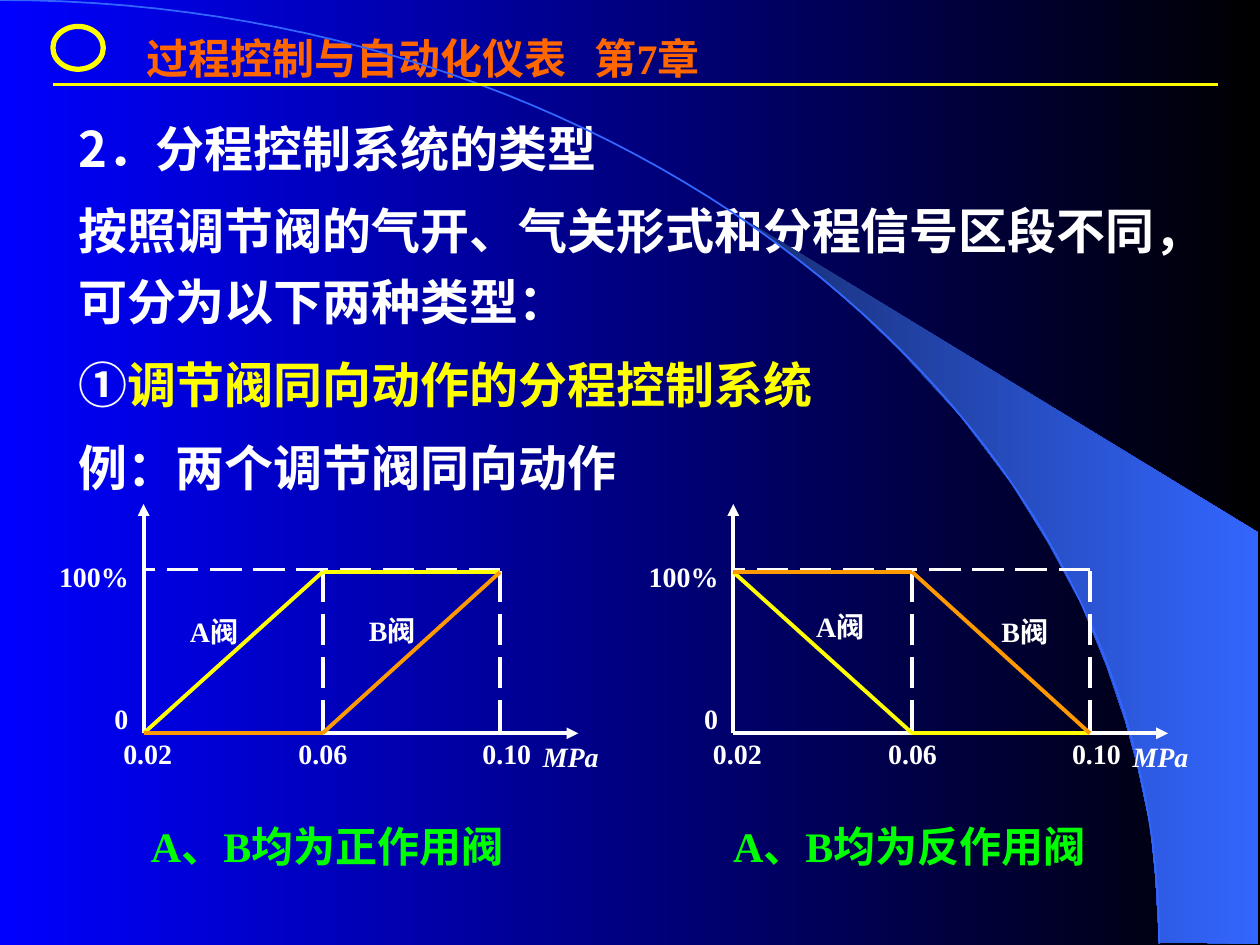
"""Builds the slide on split-range control valves acting in the same direction."""
from lxml.etree import SubElement
from pptx import Presentation
from pptx.dml.color import RGBColor
from pptx.enum.dml import MSO_LINE
from pptx.enum.shapes import MSO_CONNECTOR, MSO_SHAPE
from pptx.enum.text import MSO_ANCHOR as ANCHOR, MSO_AUTO_SIZE as AUTO, PP_ALIGN as ALIGN
from pptx.oxml.ns import qn
from pptx.util import Inches, Pt

COLORS = {"white": "FFFFFF", "yellow": "FFFF00", "orange": "FF9900", "header": "FF6600",
          "green": "00FF00", "blue": "3366FF", "navy": "182F76",
          "bg_left": "0000FF", "bg_right": "000000"}
LATIN, CJK = "Times New Roman", "Noto Sans CJK SC"
HIGH, LOW = 4.54, 5.82
TICKS = (0, 1.42, 2.83)


def rgb(name):
    return RGBColor.from_string(COLORS[name])


class SlideBuilder:
    """Holds the style and the current slide."""

    def __init__(self, prs):
        self.slide = prs.slides.add_slide(prs.slide_layouts[1])
        self.shapes = self.slide.shapes
        self.gradient(self.slide.background.fill, "bg_left", "bg_right")

    def gradient(self, fill, *names):
        fill.gradient()
        fill.gradient_angle = 0
        for stop, name in zip(fill.gradient_stops, names):
            stop.color.rgb = rgb(name)

    def style(self, r, size, color, font=LATIN, italic=False):
        r.font.size, r.font.bold, r.font.italic = Pt(size), True, italic
        r.font.name, r.font.color.rgb = font, rgb(color)
        SubElement(r.font._element, qn("a:ea"), typeface=CJK)

    def place(self, sp, x, y, w, h):
        sp.left, sp.top, sp.width, sp.height = (Inches(v) for v in (x, y, w, h))

    def header(self, text, tab, box):
        sp = self.shapes.title
        self.place(sp, *box)
        tf = sp.text_frame
        tf.text, tf.auto_size, tf.vertical_anchor = text, AUTO.NONE, ANCHOR.TOP
        p = tf.paragraphs[0]
        p.alignment = ALIGN.LEFT
        tabs = SubElement(p._p.get_or_add_pPr(), qn("a:tabLst"))
        SubElement(tabs, qn("a:tab"), pos=str(Inches(tab)), algn="l")
        for r in p.runs:
            self.style(r, 24, "header")

    def body(self, paragraphs, box):
        sp = self.slide.placeholders[1]
        self.place(sp, *box)
        tf = sp.text_frame
        tf.auto_size, tf.vertical_anchor = AUTO.NONE, ANCHOR.MIDDLE
        for i, runs in enumerate(paragraphs):
            p = tf.add_paragraph() if i else tf.paragraphs[0]
            pPr = p._p.get_or_add_pPr()
            pPr.set("marL", "0")
            pPr.set("indent", "0")
            SubElement(pPr, qn("a:buNone"))
            p.line_spacing, p.space_before = 1.2, Pt(7 if i else 0)
            for text, color in runs:
                r = p.add_run()
                r.text = text
                self.style(r, 28, color, CJK)

    def text(self, text, x, y, w, h, size=16, color="white", italic=False, wrap=True):
        sp = self.shapes.add_textbox(*(Inches(v) for v in (x, y, w, h)))
        tf = sp.text_frame
        tf.text, tf.word_wrap = text, wrap
        self.style(tf.paragraphs[0].runs[0], size, color, italic=italic)

    def line(self, x1, y1, x2, y2, color="white", width=2.25, dashed=False, arrow=False):
        sp = self.shapes.add_connector(MSO_CONNECTOR.STRAIGHT,
                                       *(Inches(v) for v in (x1, y1, x2, y2)))
        sp.line.color.rgb, sp.line.width = rgb(color), Pt(width)
        if dashed:
            sp.line.dash_style = MSO_LINE.LONG_DASH
        if arrow:
            SubElement(sp.line._get_or_add_ln(), qn("a:tailEnd"), type="triangle")
        SubElement(sp._element.spPr, qn("a:effectLst"))

    def ring(self, x, y, w, h, color):
        sp = self.shapes.add_shape(MSO_SHAPE.OVAL, *(Inches(v) for v in (x, y, w, h)))
        sp.shadow.inherit = False
        sp.fill.background()
        sp.line.color.rgb, sp.line.width = rgb(color), Pt(3)

    def freeform(self, points, closed):
        pts = [(Inches(x), Inches(y)) for x, y in points]
        fb = self.shapes.build_freeform(*pts[0])
        fb.add_line_segments(pts[1:], close=closed)
        sp = fb.convert_to_shape()
        sp.shadow.inherit = False
        return sp

    def beam(self, points):
        sp = self.freeform(points, True)
        self.gradient(sp.fill, "navy", "blue")
        sp.line.fill.background()

    def arc(self, w, h, steps=60):
        points = []
        for i in range(steps + 1):
            t = i / steps
            u = 1 - t
            points.append((w * (3 * u * u * t * 0.552 + 3 * u * t * t + t ** 3),
                           h * (3 * u * t * t * 0.448 + t ** 3)))
        sp = self.freeform(points, False)
        sp.fill.background()
        sp.line.color.rgb, sp.line.width = rgb("blue"), Pt(1)

    def valve_chart(self, x, caption, caption_x, levels, labels):
        self.text(caption, caption_x, 6.46, 3.23, 0.5, 24, "green", wrap=False)
        self.line(x, LOW, x, 4, arrow=True)
        self.line(x, LOW, x + 3.45, LOW, arrow=True)
        self.line(x + TICKS[-1], 4.52, x, 4.52, dashed=True)
        for tick in TICKS[1:]:
            self.line(x + tick, 4.53, x + tick, 5.81, dashed=True)
        self.text("MPa", x + 3.07, 5.82, 0.81, 0.36, italic=True)
        self.text("0", x - 0.33, 5.52, 0.44, 0.32)
        self.text("100%", x - 0.77, 4.39, 0.82, 0.25)
        for value, dx in (("0.02", -0.26), ("0.06", 1.13), ("0.10", 2.59)):
            self.text(value, x + dx, 5.8, 0.82, 0.32)
        for (name, w), (dx, y) in zip((("A阀", 0.7), ("B阀", 0.6)), labels):
            self.text(name, x + dx, y, w, 0.43)
        for color, ys in zip(("yellow", "orange"), levels):
            points = list(zip(TICKS, ys))
            for (x1, y1), (x2, y2) in zip(points, points[1:]):
                self.line(x + x1, y1, x + x2, y2, color)


def main():
    prs = Presentation()
    prs.slide_width, prs.slide_height = Inches(10), Inches(7.5)
    s = SlideBuilder(prs)
    s.beam([(9.2, 7.48), (9.99, 7.49), (9.99, 4.23), (5.89, 1.73), (6.24, 1.99), (6.53, 2.22),
            (6.85, 2.5), (7.16, 2.8), (7.62, 3.3), (8.03, 3.84), (8.32, 4.31), (8.58, 4.79),
            (8.78, 5.28), (8.93, 5.72), (9.03, 6.09), (9.13, 6.56), (9.17, 6.96)])
    s.arc(9.2, 7.49)
    s.ring(0.42, 0.21, 0.4, 0.34, "yellow")
    s.line(0.42, 0.67, 9.67, 0.67, "yellow", 1.5)
    s.header("过程控制与自动化仪表\t第7章", 3.56, (1.06, 0.21, 8.42, 0.5))
    s.body([[("2．分程控制系统的类型", "white")],
            [("按照调节阀的气开、气关形式和分程信号区段不同，可分为以下两种类型：", "white")],
            [("①", "white"), ("调节阀同向动作的分程控制系统", "yellow")],
            [("例：两个调节阀同向动作", "white")]], (0.52, 0.79, 9.06, 3.2))
    s.valve_chart(1.14, "A、B均为正作用阀", 1.1, ((LOW, HIGH, HIGH), (LOW, LOW, HIGH)),
                  ((0.27, 4.83), (1.69, 4.82)))
    s.valve_chart(5.82, "A、B均为反作用阀", 5.72, ((HIGH, LOW, LOW), (HIGH, HIGH, LOW)),
                  ((0.56, 4.79), (2.03, 4.83)))
    prs.save("out.pptx")


if __name__ == "__main__":
    main()
